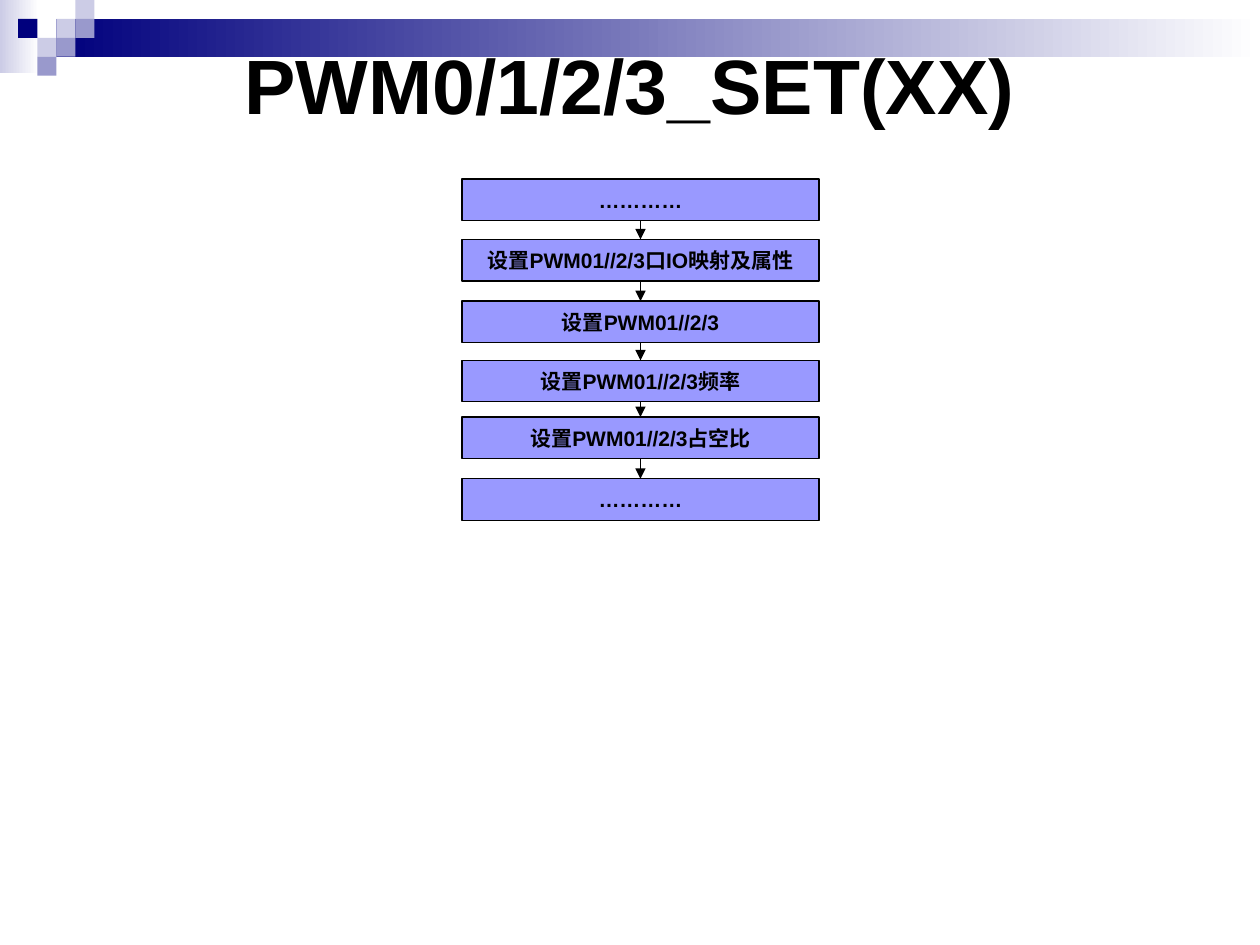
from itertools import pairwise

from lxml.etree import SubElement
from pptx import Presentation
from pptx.dml.color import RGBColor
from pptx.enum.shapes import MSO_CONNECTOR, MSO_SHAPE
from pptx.enum.text import MSO_ANCHOR, PP_ALIGN
from pptx.oxml.ns import qn
from pptx.util import Pt

COLORS = {
    "navy": "00007D",
    "slate": "9999CC",
    "pale": "CCCCE6",
    "step": "9999FF",
    "ink": "000000",
    "white": "FFFFFF",
}
FONT = "Arial"
STEPS = [
    (0, "…………"),
    (34.56, "设置PWM01//2/3口IO映射及属性"),
    (69.84, "设置PWM01//2/3"),
    (103.68, "设置PWM01//2/3频率"),
    (136.08, "设置PWM01//2/3占空比"),
    (171.36, "…………"),
]
MOSAIC = [
    (2, 1, "pale"),
    (3, 0, "pale"),
    (3, 1, "slate"),
    (1, 2, "pale"),
    (0, 1, "navy"),
    (2, 2, "slate"),
    (1, 3, "slate"),
]


def color(name):
    return RGBColor.from_string(COLORS[name])


def add_rect(slide, left, top, width, height, fill=None):
    rect = slide.shapes.add_shape(
        MSO_SHAPE.RECTANGLE, Pt(left), Pt(top), Pt(width), Pt(height)
    )
    rect.shadow.inherit = False
    rect.line.fill.background()
    if fill:
        rect.fill.solid()
        rect.fill.fore_color.rgb = color(fill)
    return rect


def add_fade(slide, left, top, width, height, start):
    fade = add_rect(slide, left, top, width, height)
    fade.fill.gradient()
    fade.fill.gradient_angle = 0
    for stop, name in zip(fade.fill.gradient_stops, (start, "white")):
        stop.color.rgb = color(name)


def write_centered(frame, words, size):
    frame.vertical_anchor = MSO_ANCHOR.MIDDLE
    paragraph = frame.paragraphs[0]
    paragraph.alignment = PP_ALIGN.CENTER
    run = paragraph.add_run()
    run.text = words
    run.font.name = FONT
    run.font.size = Pt(size)
    run.font.bold = True
    run.font.color.rgb = color("ink")


def add_banner(slide, left, top, width):
    cell = 10.8
    pitch = 10.9
    bar_left = left + 32.2
    add_fade(slide, left, top, 22.32, 41.76, "pale")
    add_fade(slide, bar_left, top + cell, left + width - bar_left, 2 * cell, "navy")
    for column, row, fill in MOSAIC:
        add_rect(
            slide, left + 10.4 + column * pitch, top + row * cell, pitch, cell, fill
        )


def add_title(slide, left, top, width, height):
    title = slide.shapes.add_textbox(Pt(left), Pt(top), Pt(width), Pt(height))
    title.text_frame.word_wrap = True
    write_centered(title.text_frame, "PWM0/1/2/3_SET(XX)", 44)


def add_arrow(slide, x, start, end):
    arrow = slide.shapes.add_connector(
        MSO_CONNECTOR.STRAIGHT, Pt(x), Pt(start), Pt(x), Pt(end)
    )
    arrow.line.color.rgb = color("ink")
    arrow.line.width = Pt(0.75)
    SubElement(arrow.line._get_or_add_ln(), qn("a:tailEnd"), type="triangle")
    SubElement(arrow._element.spPr, qn("a:effectLst"))


def add_flow(slide, left, top, width, step_height):
    for offset, words in STEPS:
        step = add_rect(slide, left, top + offset, width, step_height, "step")
        step.line.color.rgb = color("ink")
        step.line.width = Pt(0.75)
        step.text_frame.word_wrap = False
        write_centered(step.text_frame, words, 12)
    for (offset, _), (next_offset, _) in pairwise(STEPS):
        add_arrow(
            slide, left + width / 2, top + offset + step_height, top + next_offset
        )


def main():
    deck = Presentation()
    deck.slide_width = Pt(720)
    deck.slide_height = Pt(540)
    slide = deck.slides.add_slide(deck.slide_layouts[6])
    add_banner(slide, 0, 0, 720)
    add_title(slide, 36, 36, 648, 23.76)
    add_flow(slide, 264, 102.24, 204, 23.76)
    deck.save("out.pptx")


if __name__ == "__main__":
    main()
